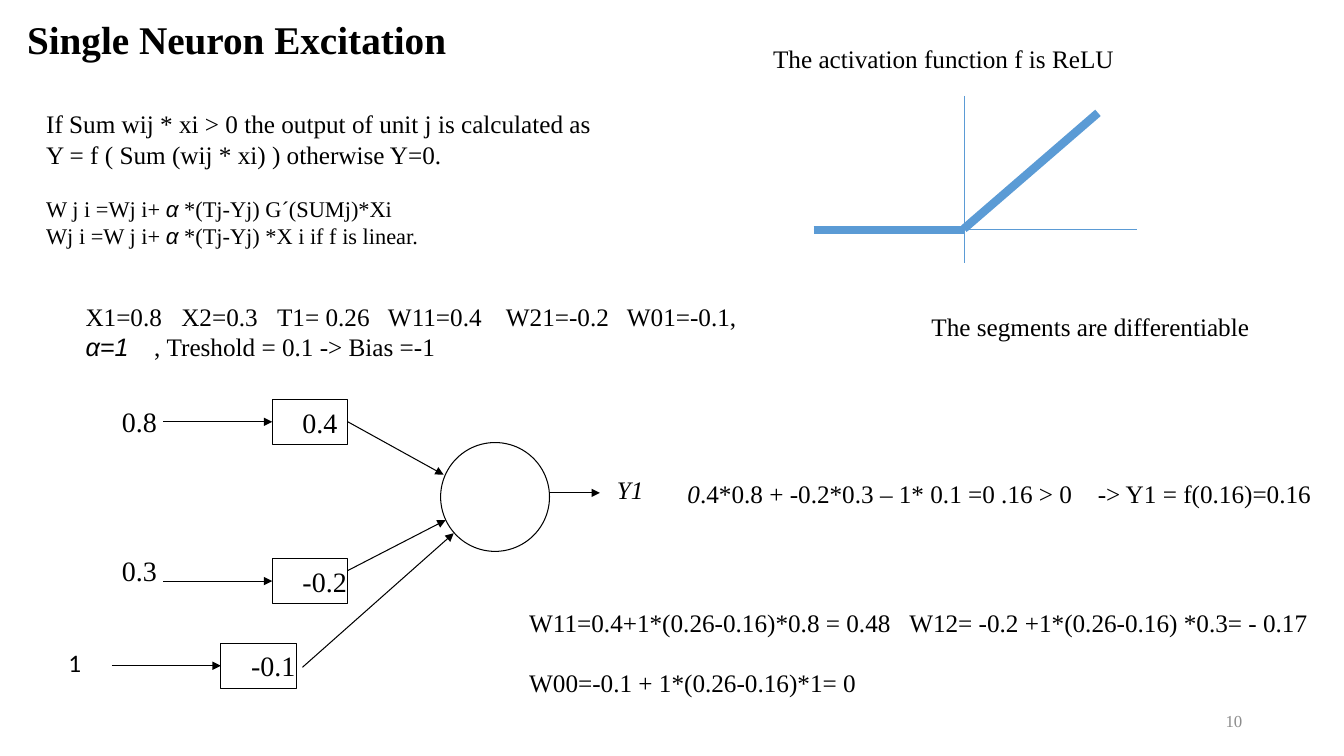
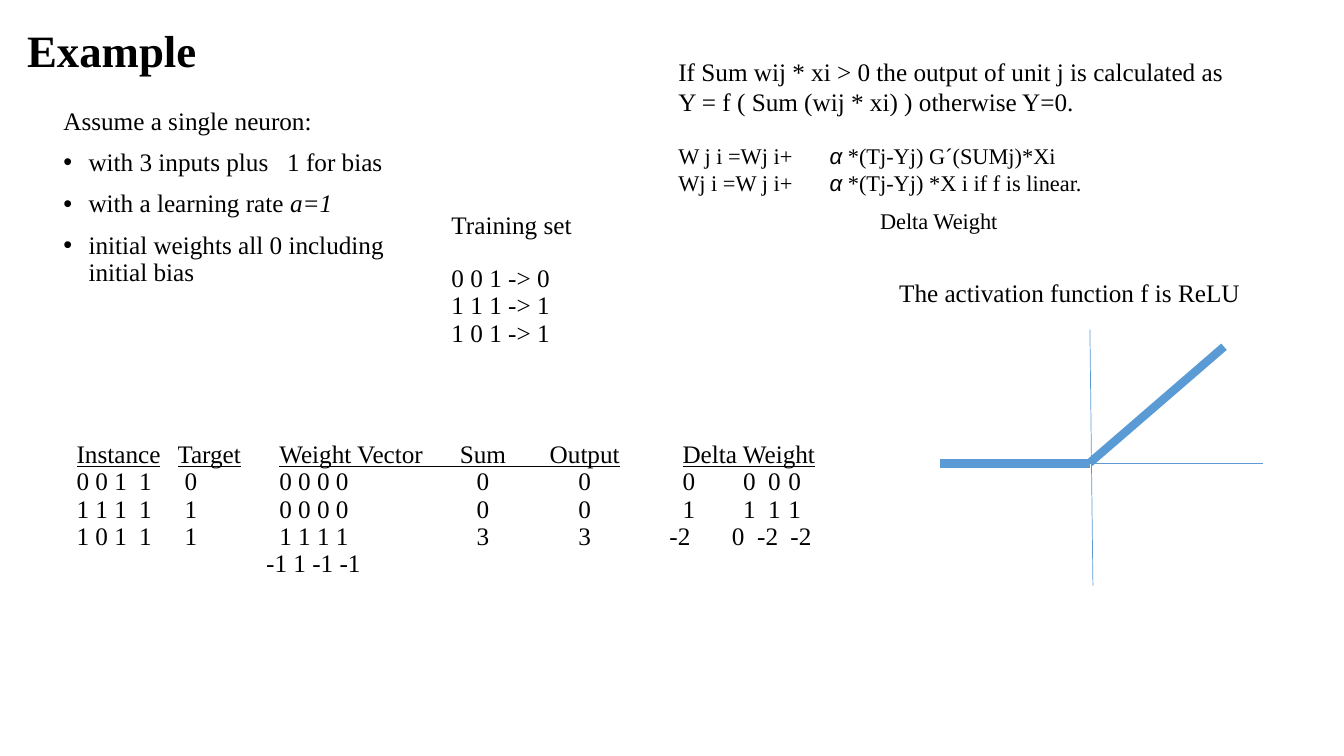
from dataclasses import dataclass
from itertools import product

from lxml import etree
from pptx import Presentation
from pptx.dml.color import RGBColor
from pptx.enum.shapes import MSO_CONNECTOR, MSO_SHAPE
from pptx.enum.text import MSO_ANCHOR, PP_ALIGN
from pptx.oxml.ns import qn
from pptx.shapes.autoshape import Shape
from pptx.shapes.connector import Connector
from pptx.slide import Slide
from pptx.text.text import _Paragraph
from pptx.util import Inches, Pt

BLACK = RGBColor(0x00, 0x00, 0x00)
WHITE = RGBColor(0xFF, 0xFF, 0xFF)
GREY = RGBColor(0x8C, 0x8C, 0x8C)
BLUE = RGBColor(0x5B, 0x9B, 0xD5)
SERIF, SANS, PLAIN = "Times New Roman", "Arial", "Calibri"
LEFT, CENTER, RIGHT = PP_ALIGN.LEFT, PP_ALIGN.CENTER, PP_ALIGN.RIGHT
MIDDLE, TOP = MSO_ANCHOR.MIDDLE, MSO_ANCHOR.TOP
RECTANGLE, OVAL = MSO_SHAPE.RECTANGLE, MSO_SHAPE.OVAL
STRAIGHT = MSO_CONNECTOR.STRAIGHT
LEFT_SIDE, RIGHT_SIDE = 1, 3

SLIDE_WIDTH, SLIDE_HEIGHT = Inches(13.33), Inches(7.5)
GRID_ROWS = 75
UNIT = SLIDE_HEIGHT / GRID_ROWS
BOX_WIDTH, BOX_HEIGHT = 7.5, 4.5
INPUT_ARROW = 10.8


@dataclass(frozen=True)
class Span:
    text: str
    italic: bool = False
    font: str = SERIF


@dataclass(frozen=True)
class Line:
    spans: tuple[Span, ...]
    size: float = 18
    before: float = 0
    spacing: float = 1.0
    tabs: tuple[float, ...] = ()
    indent: float = 0
    bullet: bool = False
    align: PP_ALIGN = LEFT
    bold: bool = False
    underline: bool = False
    color: RGBColor = BLACK


@dataclass(frozen=True)
class WeightedInput:
    signal: str
    weight: str
    box_left: float
    box_top: float
    signal_left: float
    signal_top: float
    signal_size: float = 20
    signal_font: str = SERIF


@dataclass(frozen=True)
class Column:
    header: str
    width: float
    values: tuple[str, ...]
    indent: float = 0
    value_indent: float = 0
    align: PP_ALIGN = LEFT
    tabs: tuple[float, ...] = ()


INPUTS = (
    WeightedInput("0.8", "0.4", 27, 39.6, 11.1, 39.6),
    WeightedInput("0.3", "-0.2", 27, 55.4, 11.1, 54.4),
    WeightedInput("1", "-0.1", 21.9, 63.8, 5.8, 63.7, 18, PLAIN),
)
MINUS_WIDTH = 1.3
NEGATIVE_TABS = (4, 6.5, 9.8)
TRAINING_COLUMNS = (
    Column("Instance", 10, ("0 0 1\t1", "1 1 1\t1", "1 0 1\t1", ""), tabs=(6.2,)),
    Column("Target", 8.8, ("0", "1", "1", ""), value_indent=0.7),
    Column("Weight Vector", 17.6, ("0 0 0 0", "0 0 0 0", "1 1 1 1", "-1 1 -1 -1"), 1.3, 1.3),
    Column("Sum", 7.8, ("0", "0", "3", ""), align=CENTER),
    Column("Output", 12.4, ("0", "0", "3", ""), align=CENTER),
    Column("Delta Weight", 17.5, ("0\t0\t0\t0", "1\t1\t1\t1", "-2\t0\t-2\t-2", ""),
           3.5, 3.5, tabs=(2.5, 5, 7.5)),
)


def grid(units: float) -> int:
    return round(units * UNIT)


def plain(text: str, **style) -> Line:
    return Line((Span(text),), **style)


def write_line(paragraph: _Paragraph, line: Line) -> None:
    paragraph.alignment = line.align
    paragraph.line_spacing = line.spacing
    paragraph.space_before = Pt(line.before)
    for span in line.spans:
        run = paragraph.add_run()
        run.text = span.text
        font = run.font
        font.name, font.size = span.font, Pt(line.size)
        font.italic, font.bold, font.underline = span.italic, line.bold, line.underline
        font.color.rgb = line.color
    properties = paragraph._p.get_or_add_pPr()
    properties.set("marL", str(grid(line.indent)))
    if line.bullet:
        properties.set("indent", str(-grid(line.indent)))
        etree.SubElement(properties, qn("a:buFont"), typeface=SANS)
        etree.SubElement(properties, qn("a:buChar"), char="•")
    if line.tabs:
        stops = etree.SubElement(properties, qn("a:tabLst"))
        for stop in line.tabs:
            etree.SubElement(stops, qn("a:tab"), pos=str(grid(line.indent + stop)), algn="l")


def add_text(slide: Slide, left: float, top: float, width: float, height: float,
             *lines: Line, anchor: MSO_ANCHOR = TOP) -> None:
    frame = slide.shapes.add_textbox(*map(grid, (left, top, width, height))).text_frame
    frame.word_wrap = True
    frame.vertical_anchor = anchor
    for number, line in enumerate(lines):
        write_line(frame.add_paragraph() if number else frame.paragraphs[0], line)


def add_title(slide: Slide, top: float, title: str, size: float) -> None:
    add_text(slide, 1.7, top, 49, 6, plain(title, size=size, bold=True))


def add_line(slide: Slide, start: tuple[float, float], end: tuple[float, float],
             color: RGBColor = BLACK, weight: float = 0.75, arrow: bool = False) -> Connector:
    line = slide.shapes.add_connector(STRAIGHT, *map(grid, (*start, *end)))
    line.line.color.rgb = color
    line.line.width = Pt(weight)
    if arrow:
        etree.SubElement(line.line._get_or_add_ln(), qn("a:tailEnd"), type="triangle")
    etree.SubElement(line._element.spPr, qn("a:effectLst"))
    return line


def add_outline(slide: Slide, kind: MSO_SHAPE, left: float, top: float,
                width: float, height: float) -> Shape:
    outline = slide.shapes.add_shape(kind, *map(grid, (left, top, width, height)))
    outline.shadow.inherit = False
    outline.fill.solid()
    outline.fill.fore_color.rgb = WHITE
    outline.line.color.rgb = BLACK
    outline.line.width = Pt(0.75)
    return outline


def add_relu(slide: Slide, x: float, y: float, below: float, lean: float = 0) -> None:
    add_line(slide, (x - 14.9, y), (x + 17.2, y), BLUE, 0.5)
    add_line(slide, (x, y - 13.3), (x + lean, y + below), BLUE, 0.5)
    add_line(slide, (x - 14.9, y), (x, y), BLUE, 6)
    add_line(slide, (x, y - 0.1), (x + 13.3, y - 11.6), BLUE, 6)


def add_relu_caption(slide: Slide, left: float, top: float) -> None:
    add_text(slide, left, top, 38, 4, plain("The activation function f is ReLU"))


def add_learning_rule(slide: Slide, left: float, top: float,
                      gap: str, tabs: tuple[float, ...], *extra: Line) -> None:
    updates = (("W j i =Wj i+", " *(Tj-Yj) G´(SUMj)*Xi", 18.4),
               ("Wj i =W j i+", " *(Tj-Yj) *X i if f is linear.", 0))
    add_text(
        slide, left, top, 58, 18,
        plain("If Sum wij * xi > 0 the output of unit j is calculated as"),
        plain("Y = f ( Sum (wij * xi) ) otherwise Y=0."),
        *(Line((Span(weight + gap), Span("α", True, SANS), Span(change)), 16, before, tabs=tabs)
          for weight, change, before in updates),
        *extra,
    )


def add_input(slide: Slide, source: WeightedInput) -> Shape:
    add_text(slide, source.signal_left, source.signal_top, 6, 4.4,
             Line((Span(source.signal, font=source.signal_font),), source.signal_size))
    box = add_outline(slide, RECTANGLE, source.box_left, source.box_top, BOX_WIDTH, BOX_HEIGHT)
    frame = box.text_frame
    frame.word_wrap = True
    frame.vertical_anchor = MIDDLE
    frame.margin_left, frame.margin_right = grid(3), 0
    frame.margin_top = frame.margin_bottom = 0
    write_line(frame.paragraphs[0], plain(source.weight, size=20))
    middle = source.box_top + BOX_HEIGHT / 2
    arrow = add_line(slide, (source.box_left - INPUT_ARROW, middle),
                     (source.box_left, middle), arrow=True)
    arrow.end_connect(box, LEFT_SIDE)
    return box


def add_training_table(slide: Slide, left: float, top: float, row_height: float) -> None:
    rows = 1 + len(TRAINING_COLUMNS[0].values)
    width = sum(column.width for column in TRAINING_COLUMNS)
    table = slide.shapes.add_table(
        rows, len(TRAINING_COLUMNS), *map(grid, (left, top, width, rows * row_height))).table
    table.first_row = table.horz_banding = False
    for row in table.rows:
        row.height = grid(row_height)
    for place, column in enumerate(TRAINING_COLUMNS):
        table.columns[place].width = grid(column.width)
    for row, (place, column) in product(range(rows), enumerate(TRAINING_COLUMNS)):
        cell = table.cell(row, place)
        cell.fill.background()
        cell.margin_left = cell.margin_right = cell.margin_top = cell.margin_bottom = 0
        heading = row == 0
        text = column.header if heading else column.values[row - 1]
        negative = text.startswith("-")
        indent = column.indent if heading else column.value_indent
        write_line(cell.text_frame.paragraphs[0], plain(
            text, spacing=0.9, align=column.align, underline=heading,
            indent=indent - MINUS_WIDTH * negative,
            tabs=NEGATIVE_TABS if negative and column.tabs else column.tabs))
    add_line(slide, (27.7, 46.3), (61.5, 46.3), weight=1)


def build_excitation(slide: Slide) -> None:
    add_title(slide, 1, "Single Neuron Excitation", 28)
    add_learning_rule(slide, 3.6, 10.3, " ", ())
    add_relu_caption(slide, 75.7, 3.8)
    add_relu(slide, 95.6, 22.8, 3.3)
    add_text(slide, 91.4, 30.4, 37, 4, plain("The segments are differentiable"))
    add_text(
        slide, 7.5, 29.4, 71.3, 7.1,
        plain("X1=0.8\tX2=0.3\tT1= 0.26\tW11=0.4\tW21=-0.2\tW01=-0.1,",
              tabs=(9.5, 19, 30, 41.7, 53.7)),
        Line((Span("α=1", True, SANS), Span("\t, Treshold = 0.1 -> Bias =-1")), tabs=(6.8,)))

    first_box, *_ = [add_input(slide, source) for source in INPUTS]
    add_outline(slide, OVAL, 43.7, 43.9, 10.8, 10.8)
    add_line(slide, (34.5, 41.85), (44, 47.1), arrow=True).begin_connect(first_box, RIGHT_SIDE)
    for start, end in (((34.5, 56.6), (44.2, 51.6)),
                       ((30, 66.2), (45, 52.9)),
                       ((54.5, 48.9), (59.5, 48.9))):
        add_line(slide, start, end, arrow=True)
    add_text(slide, 60.2, 46.6, 6, 4, Line((Span("Y1", True),)))
    add_text(slide, 67.2, 47, 66, 7.1, Line(
        (Span("0", True), Span(".4*0.8 + -0.2*0.3 – 1* 0.1 =0 .16 > 0\t-> Y1 = f(0.16)=0.16")),
        tabs=(40.7,)))
    add_text(
        slide, 51.5, 59.8, 81.8, 10.1,
        plain("W11=0.4+1*(0.26-0.16)*0.8 = 0.48\tW12= -0.2 +1*(0.26-0.16) *0.3= - 0.17",
              tabs=(37.7,)),
        plain("W00=-0.1 + 1*(0.26-0.16)*1= 0", before=21))
    add_text(slide, 94.2, 69.5, 30, 4, plain("10", size=12, align=RIGHT, color=GREY),
             anchor=MIDDLE)


def build_example(slide: Slide) -> None:
    add_title(slide, 1.8, "Example", 32)
    bullet = {"before": 10, "spacing": 0.9, "indent": 2.5, "bullet": True}
    add_text(
        slide, 5.3, 10.3, 36.5, 28,
        plain("Assume a single neuron:", before=10, spacing=0.9),
        plain("with 3 inputs plus\t1 for bias", tabs=(19.7,), **bullet),
        Line((Span("with a learning rate "), Span("a=1", True)), **bullet),
        plain("initial weights all 0 including initial bias", **bullet))
    add_text(
        slide, 43.8, 20.6, 22.3, 14.6,
        plain("Training set", spacing=0.9),
        plain("0 0 1 -> 0", spacing=0.9, before=18.6),
        *(plain(sample, spacing=0.9) for sample in ("1 1 1 -> 1", "1 0 1 -> 1")))
    add_learning_rule(slide, 66.3, 5.1, "\t", (15,),
                      plain("Delta Weight", size=16, before=8, indent=20))
    add_relu_caption(slide, 88.2, 27)
    add_relu(slide, 108.1, 46, 12.1, 0.3)
    add_training_table(slide, 7.6, 44, 2.7)


def main() -> None:
    deck = Presentation()
    deck.slide_width, deck.slide_height = SLIDE_WIDTH, SLIDE_HEIGHT
    blank = deck.slide_layouts[6]
    for build in (build_excitation, build_example):
        build(deck.slides.add_slide(blank))
    deck.save("out.pptx")


if __name__ == "__main__":
    main()
